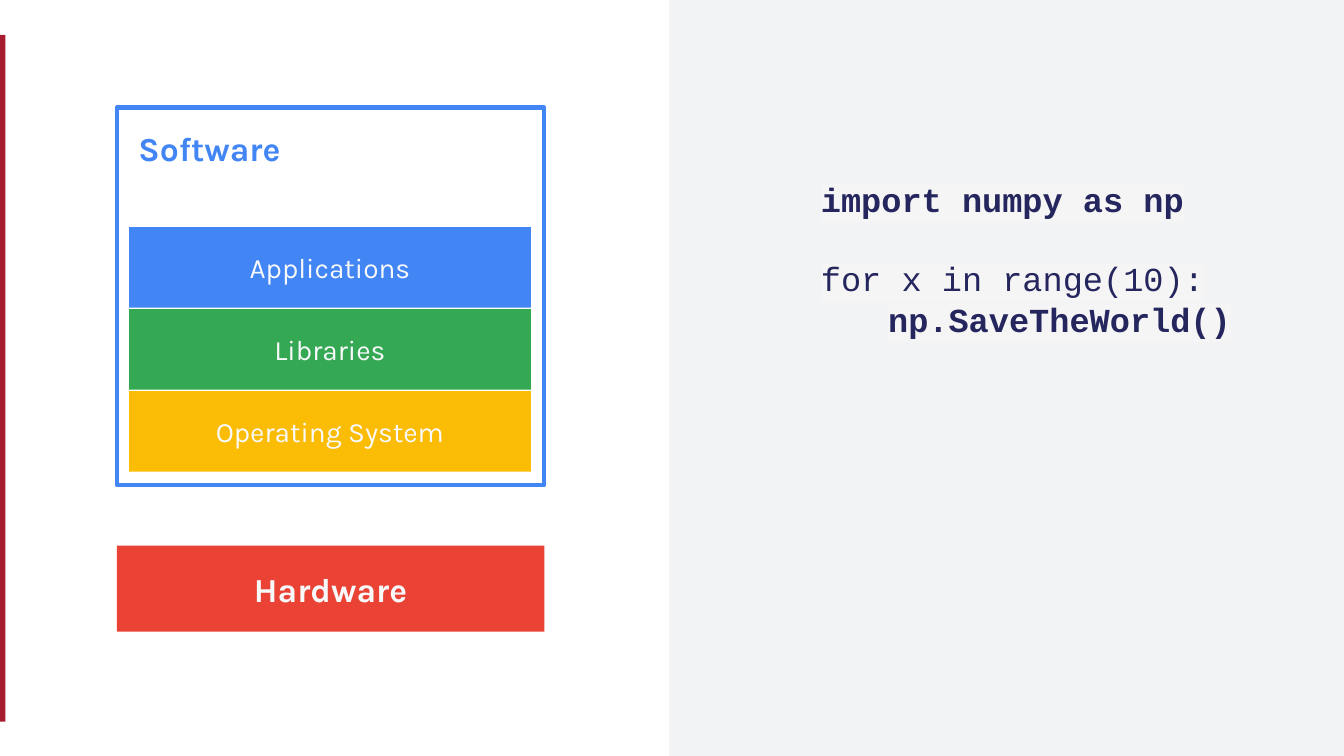
from lxml.etree import Element
from pptx import Presentation
from pptx.dml.color import RGBColor
from pptx.enum.shapes import MSO_SHAPE
from pptx.enum.text import MSO_ANCHOR, MSO_AUTO_SIZE, PP_ALIGN
from pptx.oxml.ns import qn
from pptx.util import Inches, Pt

THEME = {
    "panel": "F1F3F4", "bar": "A51C30", "light": "F8F9FA",
    "red": "EA4335", "blue": "4285F4", "green": "34A853", "yellow": "FBBC05",
    "code": "25265E", "highlight": "F5F5F5",
    "sans": "Karla", "mono": "Courier New",
    "heading": 18, "label": 15,
}
W, H = 10, 10 * 9 / 16
LEFT, WIDTH = 0.87, 3.18          # software and hardware column
ROW_TOP, ROW_H, PITCH = 1.69, 0.6, 0.61


def add_rect(x, y, w, h, fill=None, line=None):
    sp = s.shapes.add_shape(MSO_SHAPE.RECTANGLE, Inches(x), Inches(y), Inches(w), Inches(h))
    sp.shadow.inherit = False
    if fill:
        sp.fill.solid()
        sp.fill.fore_color.rgb = RGBColor.from_string(THEME[fill])
    else:
        sp.fill.background()
    if line:
        sp.line.color.rgb = RGBColor.from_string(THEME[line])
        sp.line.width = Pt(2.25)
    else:
        sp.line.fill.background()
    return sp


def write(sp, text, color="light", font="sans", size="heading", bold=False,
          align=PP_ALIGN.CENTER, anchor=MSO_ANCHOR.MIDDLE, new=False, highlight=None):
    """Fill the first paragraph of a shape, or a new one, and return it."""
    tf = sp.text_frame
    tf.word_wrap = True
    tf.auto_size = MSO_AUTO_SIZE.NONE
    tf.vertical_anchor = anchor
    tf.margin_left = tf.margin_right = tf.margin_top = tf.margin_bottom = Inches(0.1)
    p = tf.add_paragraph() if new else tf.paragraphs[0]
    p.alignment = align
    r = p.add_run()
    r.text = text
    r.font.name, r.font.size, r.font.bold = THEME[font], Pt(THEME[size]), bold
    r.font.color.rgb = RGBColor.from_string(THEME[color])
    if highlight:
        mark = Element(qn("a:highlight"))
        mark.append(Element(qn("a:srgbClr"), val=THEME[highlight]))
        r._r.rPr.find(qn("a:solidFill")).addnext(mark)
    return p


prs = Presentation()
prs.slide_width, prs.slide_height = Inches(W), Inches(H)
s = prs.slides.add_slide(prs.slide_layouts[5])

# Background panel and side bar
add_rect(4.98, 0, W - 4.98, H, fill="panel")
add_rect(0, 0.26, 0.04, 5.11, fill="bar")

# Hardware block and software frame
write(add_rect(LEFT, 4.06, WIDTH, 0.64, fill="red"), "Hardware", bold=True)
add_rect(LEFT, 0.8, WIDTH, 2.81, line="blue")

# Software layers
layers = [("Applications", "blue"), ("Libraries", "green"), ("Operating System", "yellow")]
for i, (name, fill) in enumerate(layers):
    sp = add_rect(LEFT + 0.09, ROW_TOP + i * PITCH, WIDTH - 0.19, ROW_H, fill=fill)
    write(sp, name, size="label")

title = s.shapes.title
title.left, title.top, title.width, title.height = (Inches(v) for v in (0.93, 0.85, 2.06, 0.4))
write(title, "Software", color="blue", bold=True, align=PP_ALIGN.LEFT, anchor=MSO_ANCHOR.TOP)

# Code sample: text, bold, space before (pt), first-line indent (in)
code = [("import numpy as np", True, 0, 0),
        ("for x in range(10):", False, 21, 0),
        ("np.SaveTheWorld()", True, 0, 0.5)]
box = s.shapes.add_textbox(Inches(6.01), Inches(1.23), Inches(3.27), Inches(1.52))
for i, (text, bold, before, indent) in enumerate(code):
    p = write(box, text, color="code", font="mono", bold=bold, align=PP_ALIGN.LEFT,
              anchor=MSO_ANCHOR.TOP, new=i > 0, highlight="highlight")
    p.space_before = Pt(before)
    if indent:
        pPr = p._p.get_or_add_pPr()
        pPr.set("marL", "0")
        pPr.set("indent", str(Inches(indent)))

prs.save("out.pptx")
